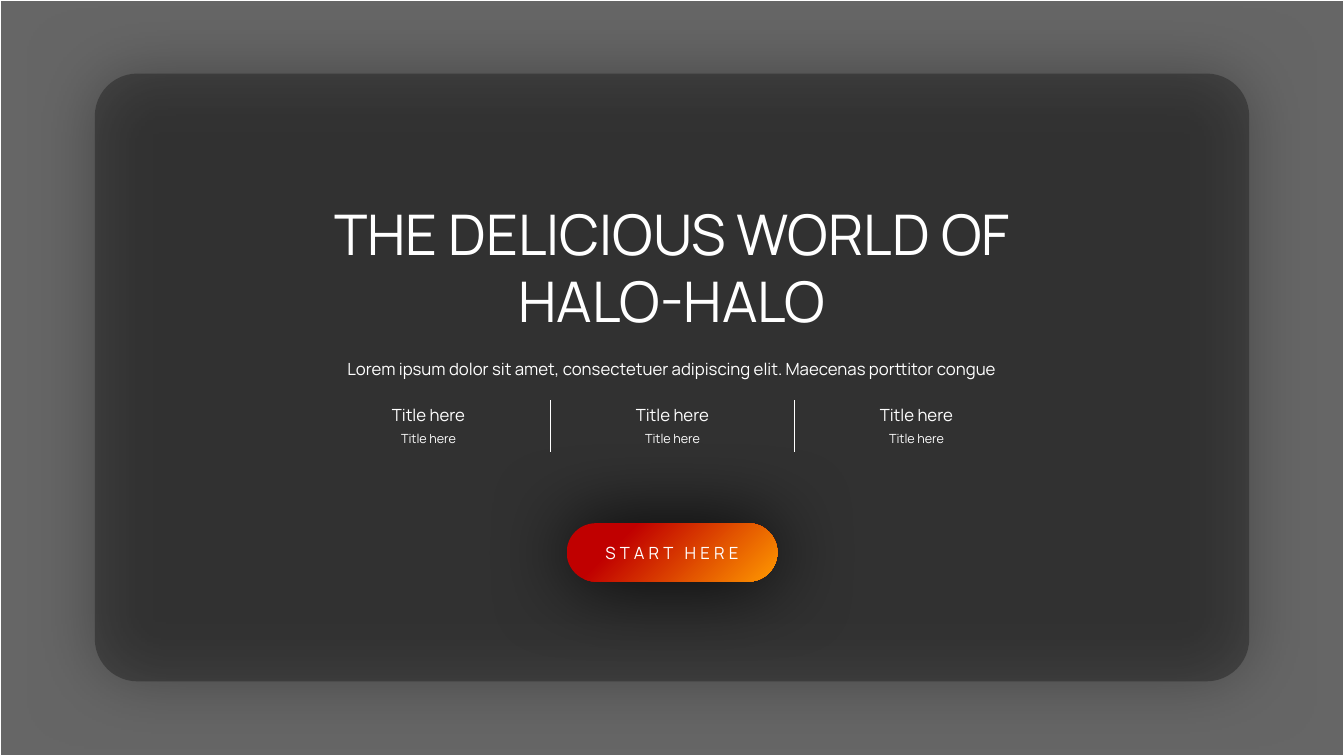
from dataclasses import dataclass

from lxml import etree
from pptx import Presentation
from pptx.dml.color import RGBColor
from pptx.enum.shapes import MSO_CONNECTOR, MSO_SHAPE
from pptx.enum.text import MSO_ANCHOR, MSO_AUTO_SIZE, PP_ALIGN
from pptx.oxml.ns import qn
from pptx.util import Inches, Pt

RECT = MSO_SHAPE.RECTANGLE
ROUNDED = MSO_SHAPE.ROUNDED_RECTANGLE
STRAIGHT = MSO_CONNECTOR.STRAIGHT
CENTER = PP_ALIGN.CENTER
TOP = MSO_ANCHOR.TOP
MIDDLE = MSO_ANCHOR.MIDDLE
GROW = MSO_AUTO_SIZE.SHAPE_TO_FIT_TEXT


@dataclass(frozen=True)
class Theme:
    font: str = "Manrope"
    text: str = "FFFFFF"
    shade: str = "000000"
    warm: str = "C00000"
    bright: str = "FF9900"
    title_size: int = 40
    body_size: int = 12
    small_size: int = 9


class SlideBuilder:
    def __init__(self, s, theme):
        self.s = s
        self.theme = theme

    def set_text(self, sp, text, size, spacing=0, anchor=TOP):
        tf = sp.text_frame
        tf.word_wrap = True
        tf.vertical_anchor = anchor
        p = tf.paragraphs[0]
        p.alignment = CENTER
        p.space_before = Pt(0)
        r = p.add_run()
        r.text = text
        r.font.name = self.theme.font
        r.font.size = Pt(size)
        r.font.color.rgb = RGBColor.from_string(self.theme.text)
        if spacing:
            r.font._element.set("spc", str(spacing * 100))

    def placeholder(self, sp, box, text, size):
        sp.left, sp.top, sp.width, sp.height = map(Inches, box)
        self.set_text(sp, text, size)
        sp.text_frame.auto_size = GROW
        self.s.shapes._spTree.append(sp._element)

    def label(self, box, text, size):
        sp = self.s.shapes.add_textbox(*map(Inches, box))
        self.set_text(sp, text, size)
        sp.text_frame.auto_size = GROW

    def shape(self, kind, box, corner=None):
        sp = self.s.shapes.add_shape(kind, *map(Inches, box))
        sp.shadow.inherit = False
        sp.line.fill.background()
        if corner is not None:
            sp.adjustments[0] = corner
        return sp

    def veil(self, kind, box, opacity, corner=None):
        sp = self.shape(kind, box, corner)
        sp.fill.solid()
        sp.fill.fore_color.rgb = RGBColor.from_string(self.theme.shade)
        color = sp._element.spPr.find(qn("a:solidFill"))[0]
        etree.SubElement(color, qn("a:alpha"), val=str(opacity * 1000))
        return sp

    def outline(self, sp, width):
        sp.line.color.rgb = RGBColor.from_string(self.theme.text)
        sp.line.width = Pt(width)

    def glow(self, sp, blur):
        effects = sp._element.spPr.find(qn("a:effectLst"))
        shadow = etree.SubElement(effects, qn("a:outerShdw"), blurRad=str(Pt(blur)),
                                  dist="0", dir="0", algn="ctr", rotWithShape="0")
        etree.SubElement(shadow, qn("a:srgbClr"), val=self.theme.shade)

    def button(self, box, text):
        sp = self.shape(ROUNDED, box, 0.5)
        sp.fill.gradient()
        sp.fill.gradient_angle = 315
        stops = ((0.26, self.theme.warm), (1, self.theme.bright))
        for stop, (position, color) in zip(sp.fill.gradient_stops, stops):
            stop.position = position
            stop.color.rgb = RGBColor.from_string(color)
        self.glow(sp, 60)
        self.set_text(sp, text, self.theme.body_size, spacing=3, anchor=MIDDLE)

    def divider(self, x, top, bottom):
        line = self.s.shapes.add_connector(STRAIGHT, *map(Inches, (x, top, x, bottom)))
        self.outline(line, 0.5)
        etree.SubElement(line._element.spPr, qn("a:effectLst"))


def main():
    prs = Presentation()
    prs.slide_width, prs.slide_height = Inches(13.33), Inches(7.5)
    s = prs.slides.add_slide(prs.slide_layouts[0])
    theme = Theme()
    b = SlideBuilder(s, theme)

    backdrop = b.veil(RECT, (0, 0, 13.33, 7.5), 60)
    b.outline(backdrop, 1)
    panel = b.veil(ROUNDED, (0.94, 0.73, 11.45, 6.03), 30, 0.07)
    b.glow(panel, 48)

    b.placeholder(s.shapes.title, (2.76, 1.93, 7.81, 1.45),
                  "THE DELICIOUS WORLD OF HALO-HALO", theme.title_size)
    b.placeholder(s.placeholders[1], (2.76, 3.51, 7.81, 0.3),
                  "Lorem ipsum dolor sit amet, consectetuer adipiscing elit. "
                  "Maecenas porttitor congue", theme.body_size)

    left, top, bottom, column = 3.04, 3.97, 4.48, 2.42
    captions = [("Title here", "Title here")] * 3
    for i, (heading, detail) in enumerate(captions):
        x = left + i * column
        b.label((x, top, column, 0.3), heading, theme.body_size)
        b.label((x, top + 0.26, column, 0.25), detail, theme.small_size)
        if i:
            b.divider(x, top, bottom)

    b.button((5.62, 5.19, 2.09, 0.58), "START HERE")
    prs.save("out.pptx")


if __name__ == "__main__":
    main()
